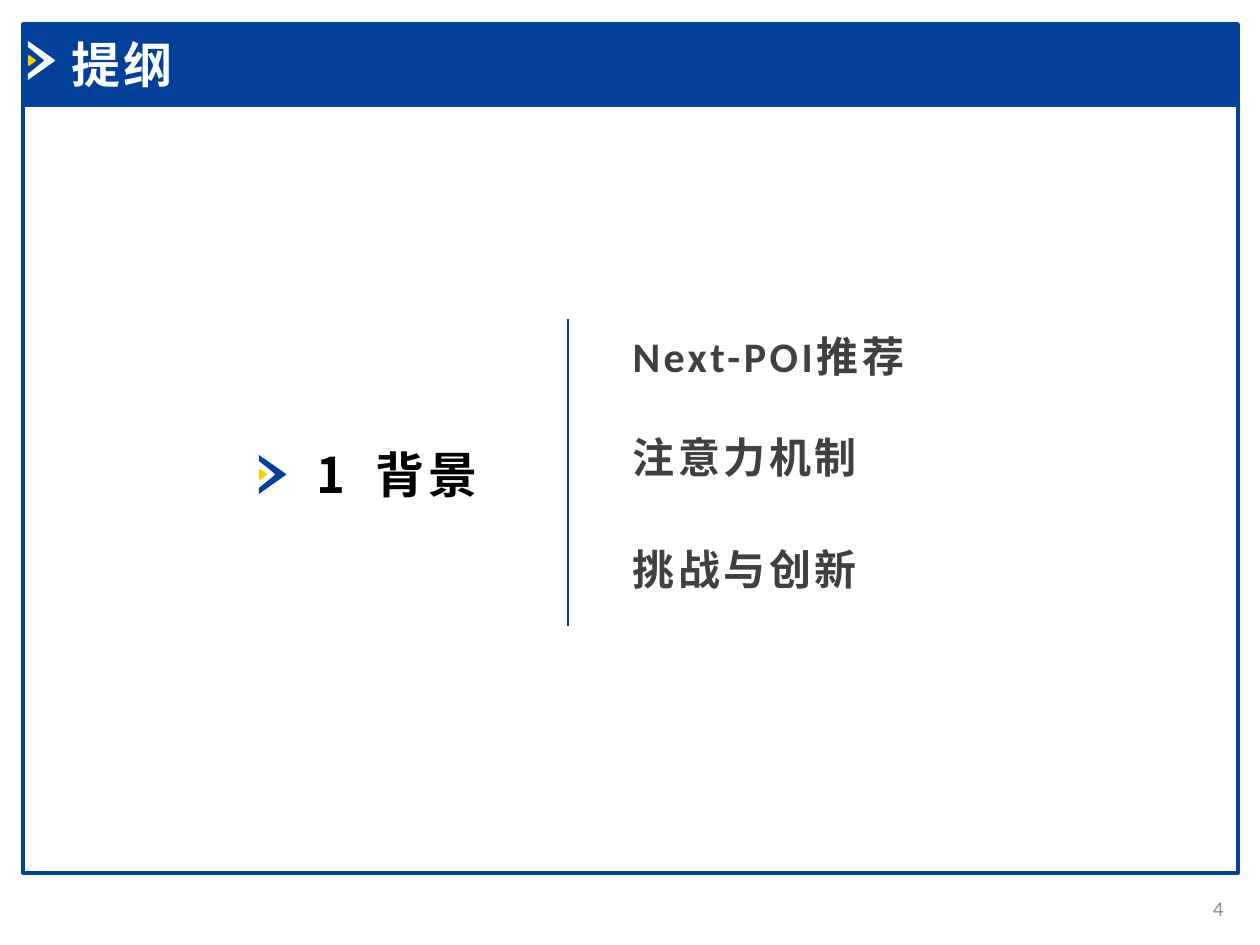
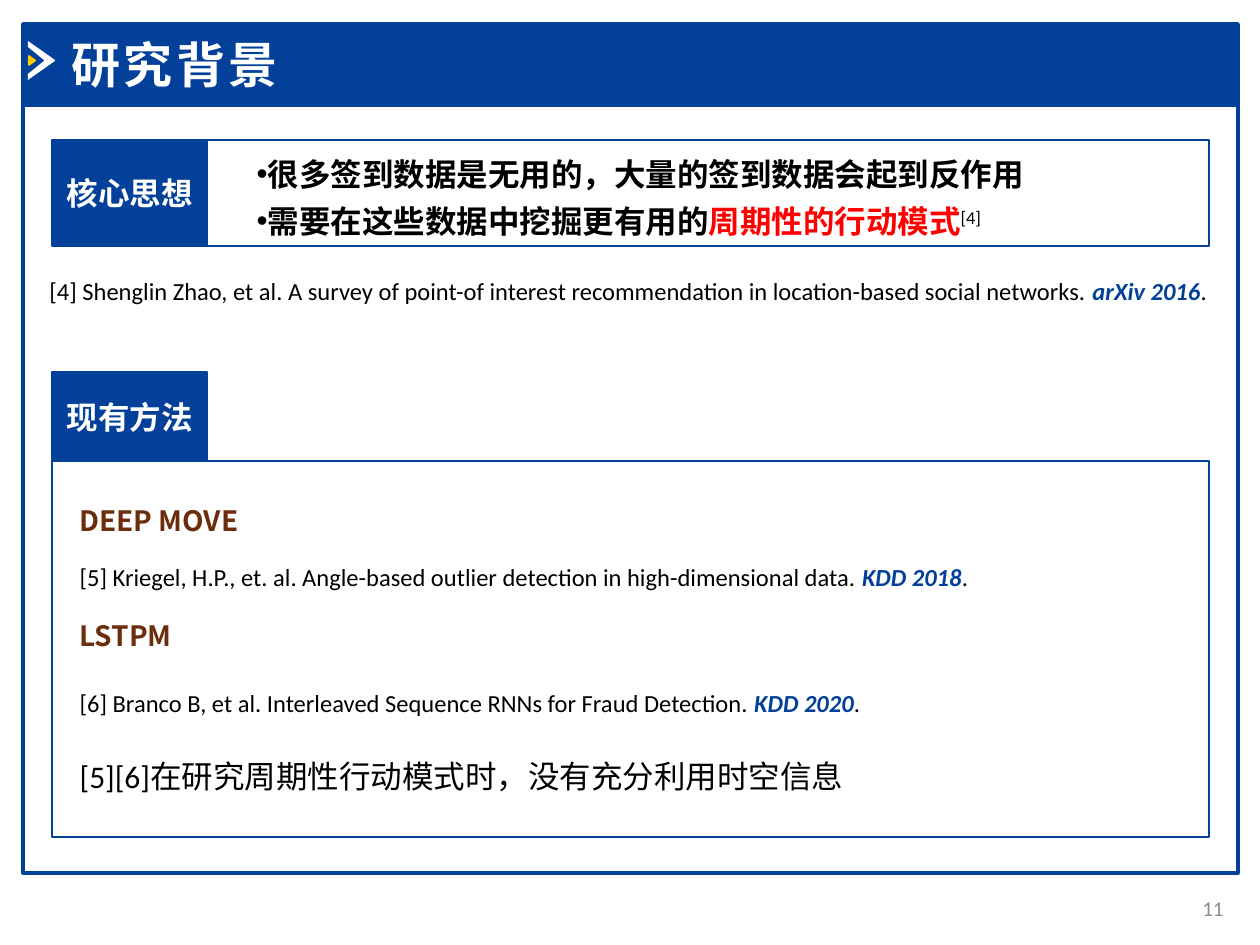
from dataclasses import dataclass, replace

from lxml import etree
from pptx import Presentation
from pptx import util as u
from pptx.dml.color import RGBColor
from pptx.enum import shapes, text
from pptx.oxml import ns

PX = u.Inches(1) / 126
BLUE, YELLOW, WHITE, BLACK = "02409A", "FFCC00", "FFFFFF", "000000"
GREY, DARK, BROWN, RED = "8C8C8C", "404040", "6B2D0B", "FF0000"
LATIN, HAN = "Calibri", "Noto Sans CJK SC"
LEFT, CENTER, RIGHT = text.PP_ALIGN.LEFT, text.PP_ALIGN.CENTER, text.PP_ALIGN.RIGHT
TOP, MIDDLE = text.MSO_ANCHOR.TOP, text.MSO_ANCHOR.MIDDLE

CHEVRON = [(0, 0), (27, 19), (27, 20), (0, 39), (0, 33), (16, 20), (16, 19), (0, 6)]
CHEVRON_CORE = [(0, 15), (1, 14), (8, 19), (8, 20), (1, 25), (0, 24)]


@dataclass(frozen=True)
class Font:
    size: int
    color: str = BLACK
    name: str = LATIN
    bold: bool = False
    italic: bool = False
    spacing: int = 0
    raised: int = 0


TITLE = Font(28, WHITE, bold=True, spacing=2)
SECTION = Font(28, name=HAN, bold=True, spacing=2)
TOPIC = Font(24, DARK, HAN, bold=True, spacing=2)
TAG = Font(18, WHITE, bold=True)
IDEA = Font(18, bold=True)
METHOD = Font(16, BROWN, HAN, bold=True)
CITATION = Font(14)
VENUE = Font(14, BLUE, bold=True, italic=True)


@dataclass
class Para:
    spans: list
    before: int = 0
    after: int = 0
    line: float = 1.0
    bullet: bool = False


def px(length):
    return u.Emu(round(length * PX))


def rgb(color):
    return RGBColor.from_string(color)


def citation(reference, venue, **spacing):
    return Para([(reference + " ", CITATION), (venue, VENUE), (".", CITATION)], **spacing)


class SlideBuilder:
    def __init__(self, deck):
        self.deck = deck
        self.page = None

    def new_page(self, layout, title, number):
        """Start a slide with the shared frame, title band and page number."""
        self.page = self.deck.slides.add_slide(self.deck.slide_layouts[layout])
        self.rect(23, 105, 1215, 768, line_width=2)
        self.rect(23, 24, 1215, 81, fill=BLUE, line_width=2)
        self.chevron(28, 41, WHITE)
        self.placeholder(0, 59, 28, 449, 72, [Para([(title, TITLE)])])
        self.text_box(1162, 883, 74, 50, [Para([(str(number), Font(12, GREY))])],
                      align=RIGHT, anchor=MIDDLE)

    def paint(self, shape, fill, line=None, line_width=1.5):
        shape.shadow.inherit = False
        if fill:
            shape.fill.solid()
            shape.fill.fore_color.rgb = rgb(fill)
        else:
            shape.fill.background()
        if line:
            shape.line.color.rgb = rgb(line)
            shape.line.width = u.Pt(line_width)
        else:
            shape.line.fill.background()

    def rect(self, left, top, width, height, fill=None, line_width=1.5):
        box = self.page.shapes.add_shape(
            shapes.MSO_SHAPE.RECTANGLE, px(left), px(top), px(width), px(height))
        self.paint(box, fill, BLUE, line_width)
        return box

    def tag(self, left, top, width, height, label):
        """Add a filled box with a centred heading."""
        box = self.rect(left, top, width, height, fill=BLUE)
        self.add_paras(box.text_frame, [Para([(label, TAG)])], CENTER, MIDDLE)

    def chevron(self, left, top, color):
        for outline, fill in ((CHEVRON, color), (CHEVRON_CORE, YELLOW)):
            points = [(left + x, top + y) for x, y in outline]
            builder = self.page.shapes.build_freeform(*points[0], scale=PX)
            builder.add_line_segments(points[1:], close=True)
            self.paint(builder.convert_to_shape(), fill)

    def line(self, x1, y1, x2, y2):
        rule = self.page.shapes.add_connector(
            shapes.MSO_CONNECTOR.STRAIGHT, px(x1), px(y1), px(x2), px(y2))
        rule.line.color.rgb = rgb(BLUE)
        rule.line.width = u.Pt(1.5)
        etree.SubElement(rule._element.spPr, ns.qn("a:effectLst"))

    def text_box(self, left, top, width, height, paras, align=LEFT, anchor=TOP):
        box = self.page.shapes.add_textbox(px(left), px(top), px(width), px(height))
        self.add_paras(box.text_frame, paras, align, anchor)

    def placeholder(self, index, left, top, width, height, paras):
        """Move a template placeholder to the front, place it and fill it."""
        box = self.page.placeholders[index]
        box.left, box.top, box.width, box.height = map(px, (left, top, width, height))
        box.element.getparent().append(box.element)
        self.add_paras(box.text_frame, paras, LEFT, TOP)

    def add_paras(self, frame, paras, align, anchor):
        frame.word_wrap = True
        frame.auto_size = text.MSO_AUTO_SIZE.NONE
        frame.vertical_anchor = anchor
        for position, para in enumerate(paras):
            target = frame.add_paragraph() if position else frame.paragraphs[0]
            properties = target._p.get_or_add_pPr()
            properties.set("marL", "0")
            properties.set("indent", str(px(25 if para.bullet else 0)))
            if para.bullet:
                etree.SubElement(properties, ns.qn("a:buChar"), char="•")
            else:
                etree.SubElement(properties, ns.qn("a:buNone"))
            target.alignment = align
            target.line_spacing = para.line
            target.space_before = u.Pt(para.before if position else 0)
            target.space_after = u.Pt(para.after)
            for words, font in para.spans:
                self.add_span(target, words, font)

    def add_span(self, para, words, font):
        span = para.add_run()
        span.text = words
        span.font.name = font.name
        span.font.size = u.Pt(font.size)
        span.font.bold = font.bold
        span.font.italic = font.italic
        span.font.color.rgb = rgb(font.color)
        properties = span._r.get_or_add_rPr()
        etree.SubElement(properties, ns.qn("a:ea"), typeface=HAN)
        if font.spacing:
            properties.set("spc", str(font.spacing * 100))
        if font.raised:
            properties.set("baseline", str(font.raised * 1000))


def build_outline(builder):
    builder.new_page(1, "提纲", 4)
    builder.text_box(304, 438, 200, 72, [
        Para([("1", SECTION), (" ", replace(SECTION, spacing=9)), ("背景", SECTION)])])
    builder.chevron(259, 455, BLUE)
    builder.placeholder(1, 620, 324, 380, 300, [
        Para([("Next-POI", replace(TOPIC, name=LATIN)), ("推荐", TOPIC)]),
        Para([("注意力机制", TOPIC)], before=29),
        Para([("挑战与创新", TOPIC)], before=35),
    ])
    builder.line(568, 319, 568, 626)


def build_background(builder):
    builder.new_page(3, "研究背景", 11)

    builder.rect(52, 461, 1157, 376)
    builder.tag(52, 372, 155, 89, "现有方法")
    spaced = {"line": 1.5, "before": 6, "after": 6}
    builder.placeholder(2, 67, 480, 1125, 358, [
        Para([("DEEP MOVE", METHOD)], **spaced),
        citation("[5] Kriegel, H.P., et. al. Angle-based outlier detection in "
                 "high-dimensional data.", "KDD 2018", line=1.5),
        Para([("LSTPM", METHOD)], **spaced),
        citation("[6] Branco B, et al. Interleaved Sequence RNNs for Fraud Detection.",
                 "KDD 2020", **spaced),
        Para([("[5][6]在研究周期性行动模式时，没有充分利用时空信息", Font(18))], **spaced),
    ])

    builder.tag(52, 140, 155, 106, "核心思想")
    builder.rect(206, 140, 1003, 106)
    builder.placeholder(1, 219, 139, 898, 107, [
        Para([("很多签到数据是无用的，大量的签到数据会起到反作用", IDEA)],
             line=1.25, bullet=True),
        Para([("需要在这些数据中挖掘更有用的", IDEA),
              ("周期性的行动模式", replace(IDEA, color=RED)),
              ("[4]", Font(18, raised=30))], line=1.25, bullet=True),
    ])
    builder.text_box(37, 262, 1212, 47, [
        citation("[4] Shenglin Zhao, et al. A survey of point-of interest recommendation "
                 "in location-based social networks.", "arXiv 2016", line=1.25)])


def main():
    deck = Presentation()
    deck.slide_width, deck.slide_height = px(1260), px(945)
    builder = SlideBuilder(deck)
    build_outline(builder)
    build_background(builder)
    deck.save("out.pptx")


if __name__ == "__main__":
    main()
